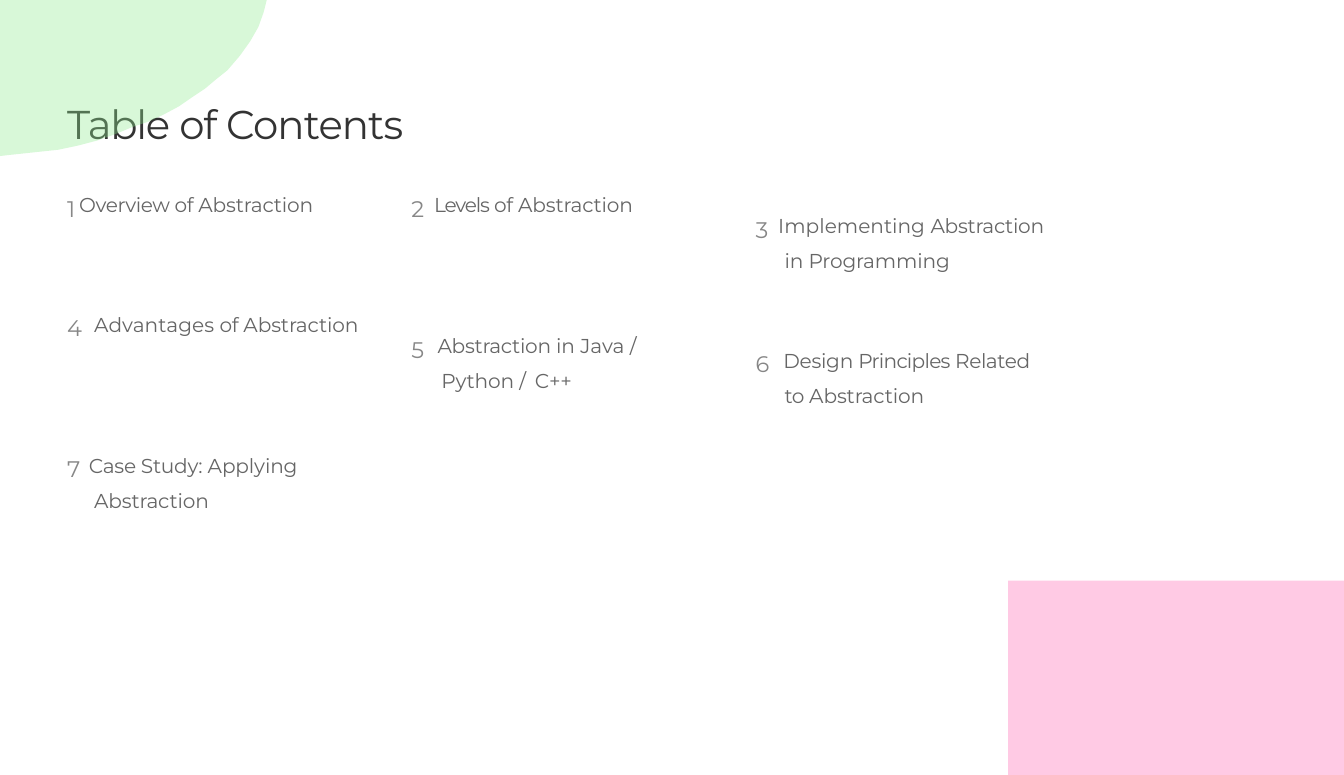
from pptx import Presentation
from pptx.dml.color import RGBColor
from pptx.enum.text import MSO_ANCHOR, MSO_AUTO_SIZE, PP_ALIGN
from pptx.oxml.ns import qn
from pptx.util import Inches, Pt
from lxml.etree import SubElement

FONT = "Montserrat"
COLORS = {"title": "333333", "number": "878787", "entry": "666666",
          "green": "90ED90", "pink": "FF69B3"}

# Each run of text comes with its letter spacing in points.
TITLE = [("Table ", -0.85), ("of ", -0.9), ("Contents", -0.6)]
ENTRIES = {
    1: [("Overview of ", -0.3), ("Abstraction", -0.1)],
    2: [("Levels ", -0.8), ("of ", -0.3), ("Abstraction", -0.1)],
    3: [("Implementing ", 0), ("Abstraction ", -0.2), ("in Programming", -0.1)],
    4: [("Advantages ", 0), ("of ", -0.3), ("Abstraction", -0.1)],
    5: [("Abstraction ", -0.2), ("in ", -0.1), ("Java ", 0), ("/ ", 2.1),
        ("Python ", -0.1), ("/ ", 1.2), ("C++", -0.2)],
    6: [("Design ", -0.2), ("Principles ", -0.5), ("Related ", -0.3),
        ("to ", -0.4), ("Abstraction", -0.1)],
    7: [("Case Study: ", -0.2), ("Applying Abstraction", -0.1)],
}
NUMBER_SPACING = {1: -1.4, 2: 1.4, 3: 1.4, 4: 2.2, 5: 2.6, 6: 2.8, 7: 0.9}

# Entry numbers, box (left, top, width, height)
ONE_LINE = [
    ([1], (0.64, 1.88, 2.72, 0.27)),
    ([2], (3.97, 1.88, 2.44, 0.27)),
    ([4], (0.64, 3.04, 3.09, 0.27)),
]
# Entry numbers, box, left margin, hanging indent, right inset
WRAPPED = [
    ([3, 6], (7.26, 1.74, 3.12, 1.89), 0.33, -0.28, 0.22),
    ([5], (3.94, 2.9, 2.52, 0.73), 0.33, -0.29, 0),
    ([7], (0.61, 4.06, 2.54, 0.73), 0.3, -0.26, 0),
]
GAP_BETWEEN_ENTRIES = 31

GREEN_CORNER = [
    (0, 0), (2.58, 0), (2.55, 0.12), (2.5, 0.26), (2.42, 0.4), (2.32, 0.54),
    (2.2, 0.68), (2.1, 0.76), (1.98, 0.86), (1.86, 0.94), (1.73, 1.03),
    (1.58, 1.11), (1.43, 1.18), (1.28, 1.23), (1.11, 1.3), (0.94, 1.36),
    (0.75, 1.41), (0.56, 1.45), (0.37, 1.47), (0.09, 1.5), (0, 1.51),
]
PINK_CORNER = [(9.75, 5.62), (13, 5.62), (13, 7.5), (9.75, 7.5)]


def place(shape, box):
    shape.left, shape.top, shape.width, shape.height = map(Inches, box)


def prepare_frame(shape, top_inset, right_inset=0):
    frame = shape.text_frame
    frame.word_wrap = True
    frame.auto_size = MSO_AUTO_SIZE.SHAPE_TO_FIT_TEXT
    frame.vertical_anchor = MSO_ANCHOR.TOP
    frame.margin_left = frame.margin_bottom = 0
    frame.margin_top = Inches(top_inset)
    frame.margin_right = Inches(right_inset)
    return frame


def format_paragraph(paragraph, margin, indent, before=0, line_spacing=None):
    paragraph.alignment = PP_ALIGN.LEFT
    paragraph.space_before = Pt(before)
    paragraph.line_spacing = line_spacing
    properties = paragraph._p.get_or_add_pPr()
    properties.set("marL", str(Inches(margin)))
    properties.set("indent", str(Inches(indent)))


def add_run(paragraph, text, size, color, spacing=0, baseline=0):
    """Add a run; spacing is in points, baseline in percent."""
    run = paragraph.add_run()
    run.text = text
    run.font.name = FONT
    run.font.size = Pt(size)
    run.font.color.rgb = RGBColor.from_string(COLORS[color])
    properties = run._r.get_or_add_rPr()
    properties.set("spc", str(round(spacing * 100)))
    properties.set("baseline", str(baseline * 1000))


def add_entry(paragraph, number):
    add_run(paragraph, f"{number} ", 27, "number", NUMBER_SPACING[number], -12)
    for text, spacing in ENTRIES[number]:
        add_run(paragraph, text, 14, "entry", spacing)


def add_entries(slide, numbers, box, margin, indent, insets, before, line_spacing):
    """Add one text box of entries; insets are top and right."""
    holder = slide.shapes.add_textbox(*map(Inches, box))
    frame = prepare_frame(holder, *insets)
    for position, number in enumerate(numbers):
        paragraph = frame.add_paragraph() if position else frame.paragraphs[0]
        format_paragraph(paragraph, margin, indent,
                         GAP_BETWEEN_ENTRIES if position else before, line_spacing)
        add_entry(paragraph, number)


def add_corner(slide, points, color):
    """Add a translucent outline through points given in inches."""
    # Freeform units are whole numbers, so draw in hundredths of an inch.
    start, *rest = [(round(x * 100), round(y * 100)) for x, y in points]
    builder = slide.shapes.build_freeform(*start, scale=Inches(0.01))
    builder.add_line_segments(rest, close=True)
    corner = builder.convert_to_shape()
    corner.shadow.inherit = False
    corner.line.fill.background()
    corner.fill.solid()
    corner.fill.fore_color.rgb = RGBColor.from_string(COLORS[color])
    tint = corner.fill._xPr.find(qn("a:solidFill"))[0]
    SubElement(tint, qn("a:alpha")).set("val", "35000")


def main():
    deck = Presentation()
    deck.slide_width, deck.slide_height = Inches(13), Inches(7.5)
    slide = deck.slides.add_slide(deck.slide_layouts[5])

    title = slide.shapes.title
    place(title, (0.64, 0.95, 3.53, 0.49))
    heading = prepare_frame(title, 0.01).paragraphs[0]
    format_paragraph(heading, 0.01, 0, before=1)
    for text, spacing in TITLE:
        add_run(heading, text, 28, "title", spacing)

    for numbers, box in ONE_LINE:
        add_entries(slide, numbers, box, 0.01, 0, (0, 0), 0, Pt(19))
    for numbers, box, margin, indent, right_inset in WRAPPED:
        add_entries(slide, numbers, box, margin, indent, (0.03, right_inset), 1.9, 1.25)

    add_corner(slide, GREEN_CORNER, "green")
    add_corner(slide, PINK_CORNER, "pink")
    deck.save("out.pptx")


if __name__ == "__main__":
    main()
